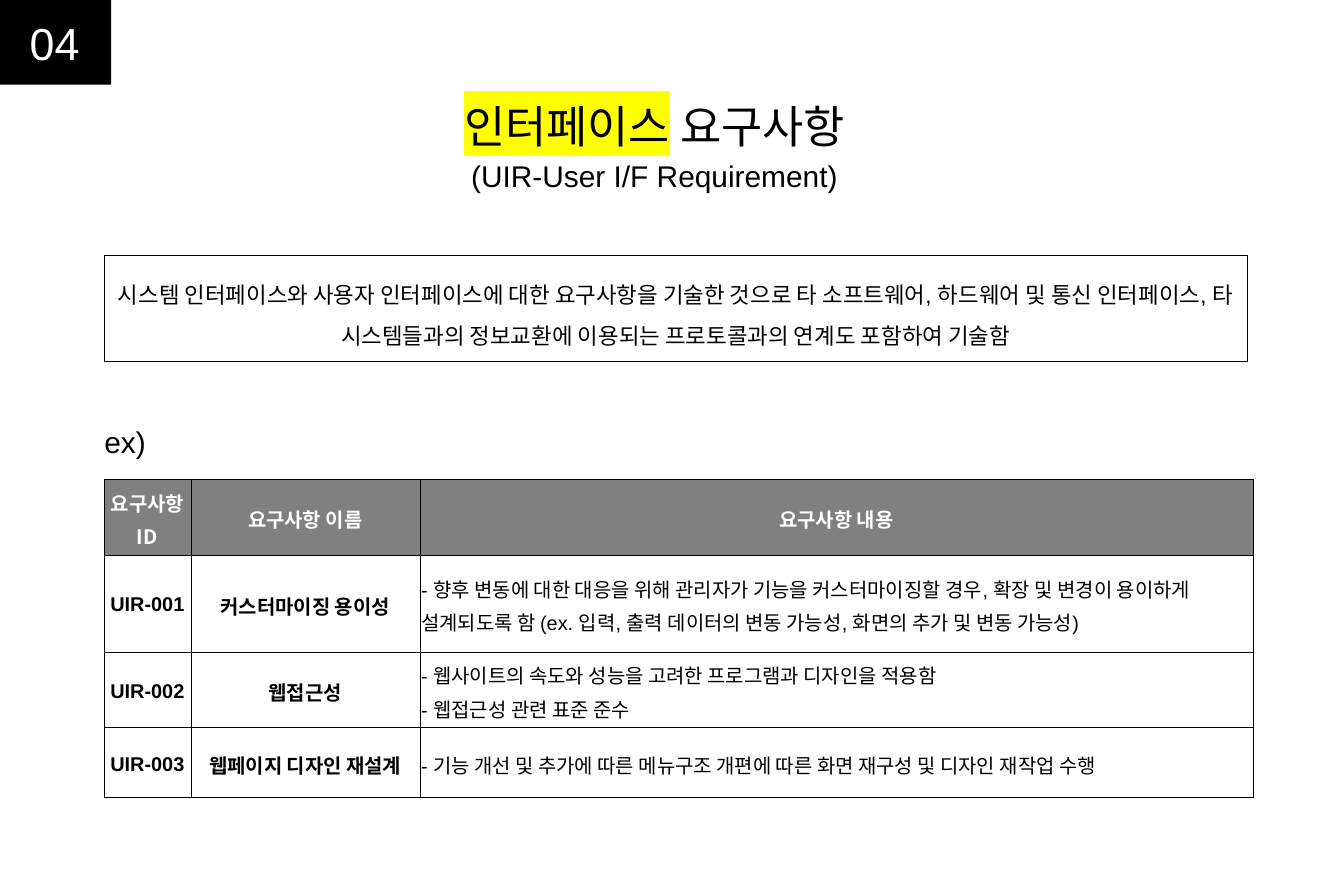
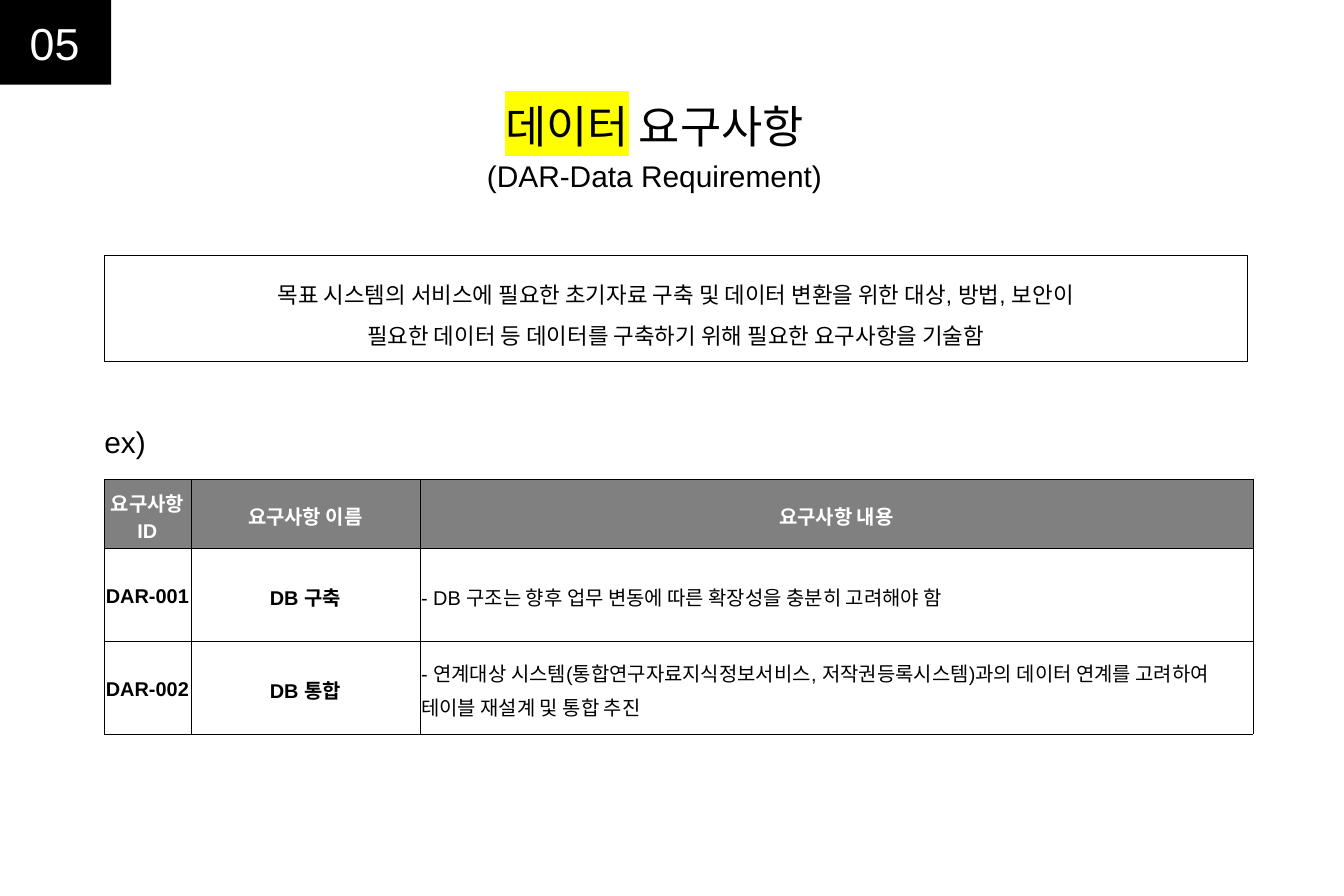
"""Build two slides that explain requirement types with example tables."""
import lxml.etree
import pptx
import pptx.dml.color
import pptx.enum.shapes
import pptx.enum.text
import pptx.oxml.ns
import pptx.util

Inches = pptx.util.Inches
ALIGN = pptx.enum.text.PP_ALIGN
ANCHOR = pptx.enum.text.MSO_ANCHOR
FONT = "Arial"
COLORS = {
    "black": "000000",
    "white": "FFFFFF",
    "gray": "808080",
    "yellow": "FFFF00",
}
HEADERS = ["요구사항 ID", "요구사항 이름", "요구사항 내용"]
COL_WIDTHS = [1.94, 5.11, 18.6]
SLIDES = [
    {
        "number": "04",
        "topic": "인터페이스",
        "subtitle": "(UIR-User I/F Requirement)",
        "summary": [
            "시스템 인터페이스와 사용자 인터페이스에 대한 요구사항을 기술한 것으로 타 소프트웨어, "
            "하드웨어 및 통신 인터페이스, 타 시스템들과의 정보교환에 이용되는 프로토콜과의 연계도 "
            "포함하여 기술함",
        ],
        "header_font": "Noto Sans CJK KR",
        "heights": [1.64, 2.17, 1.64, 1.57],
        "rows": [
            ("UIR-001", "커스터마이징 용이성", [
                "- 향후 변동에 대한 대응을 위해 관리자가 기능을 커스터마이징할 경우, 확장 및 변경이 "
                "용이하게 설계되도록 함 (ex. 입력, 출력 데이터의 변동 가능성, 화면의 추가 및 변동 가능성)",
            ]),
            ("UIR-002", "웹접근성", [
                "- 웹사이트의 속도와 성능을 고려한 프로그램과 디자인을 적용함",
                "- 웹접근성 관련 표준 준수",
            ]),
            ("UIR-003", "웹페이지 디자인 재설계", [
                "- 기능 개선 및 추가에 따른 메뉴구조 개편에 따른 화면 재구성 및 디자인 재작업 수행",
            ]),
        ],
    },
    {
        "number": "05",
        "topic": "데이터",
        "subtitle": "(DAR-Data Requirement)",
        "summary": [
            "목표 시스템의 서비스에 필요한 초기자료 구축 및 데이터 변환을 위한 대상, 방법, 보안이",
            "필요한 데이터 등 데이터를 구축하기 위해 필요한 요구사항을 기술함",
        ],
        "header_font": FONT,
        "heights": [1.53, 2.08, 2.08],
        "rows": [
            ("DAR-001", "DB 구축", [
                "- DB 구조는 향후 업무 변동에 따른 확장성을 충분히 고려해야 함",
            ]),
            ("DAR-002", "DB 통합", [
                "- 연계대상 시스템(통합연구자료지식정보서비스, 저작권등록시스템)과의 데이터 연계를 "
                "고려하여 테이블 재설계 및 통합 추진",
            ]),
        ],
    },
]


def rgb(name):
    """Return a palette colour."""
    return pptx.dml.color.RGBColor.from_string(COLORS[name])


def box(left, top, width, height):
    """Convert a position and size in inches to lengths."""
    return [Inches(v) for v in (left, top, width, height)]


def style_paragraph(p, size, color="black", align=ALIGN.CENTER, spacing=1.0, bold=False, font=FONT):
    """Set the font, alignment and line spacing of a paragraph."""
    p.alignment = align
    p.line_spacing = spacing
    p.font.size = pptx.util.Pt(size)
    p.font.name = font
    p.font.bold = bold
    p.font.color.rgb = rgb(color)


def write_lines(tf, lines, size, **style):
    """Fill a text frame with one styled paragraph per line."""
    tf.text = "\n".join(lines)
    for p in tf.paragraphs:
        style_paragraph(p, size, **style)


def set_frame(tf, inset, anchor):
    """Set wrapping, insets and anchor of a text frame."""
    tf.word_wrap = True
    tf.auto_size = pptx.enum.text.MSO_AUTO_SIZE.NONE
    tf.vertical_anchor = anchor
    tf.margin_left = tf.margin_right = Inches(inset)
    tf.margin_top = tf.margin_bottom = Inches(inset)


def highlight(r, color):
    """Mark a run with a highlight colour."""
    mark = lxml.etree.SubElement(r.font._element, pptx.oxml.ns.qn("a:highlight"))
    lxml.etree.SubElement(mark, pptx.oxml.ns.qn("a:srgbClr"), val=COLORS[color])


def add_title(s, topic, subtitle):
    """Place the title with its highlighted topic and its subtitle."""
    title = s.shapes.title
    title.left, title.top, title.width, title.height = box(2.57, 1.81, 24.08, 3.12)
    tf = title.text_frame
    set_frame(tf, 0.21, ANCHOR.TOP)
    p = tf.paragraphs[0]
    r = p.add_run()
    r.text = topic
    highlight(r, "yellow")
    p.add_run().text = " 요구사항"
    style_paragraph(p, 72, spacing=1.15)
    p = tf.add_paragraph()
    p.text = subtitle
    style_paragraph(p, 48, spacing=1.15)


def add_label(s, text):
    """Add the label above the table."""
    tf = s.shapes.add_textbox(*box(2.23, 9.36, 3.08, 1.34)).text_frame
    set_frame(tf, 0.1, ANCHOR.TOP)
    write_lines(tf, [text], 48, align=ALIGN.LEFT)


def add_rectangle(s, place, lines, size, fill=None, **style):
    """Add a filled or an outlined rectangle with text."""
    sp = s.shapes.add_shape(pptx.enum.shapes.MSO_SHAPE.RECTANGLE, *box(*place))
    sp.shadow.inherit = False
    if fill:
        sp.fill.solid()
        sp.fill.fore_color.rgb = rgb(fill)
        sp.line.fill.background()
    else:
        sp.fill.background()
        sp.line.color.rgb = rgb("black")
        sp.line.width = pptx.util.Pt(0.75)
    set_frame(sp.text_frame, 0.1, ANCHOR.MIDDLE)
    write_lines(sp.text_frame, lines, size, **style)


def add_borders(cell):
    """Draw a thin black line on each side of a cell."""
    qn = pptx.oxml.ns.qn
    tc_pr = cell._tc.get_or_add_tcPr()
    for i, side in enumerate(("a:lnL", "a:lnR", "a:lnT", "a:lnB")):
        ln = lxml.etree.Element(qn(side), w=str(pptx.util.Pt(0.75)))
        fill = lxml.etree.SubElement(ln, qn("a:solidFill"))
        lxml.etree.SubElement(fill, qn("a:srgbClr"), val=COLORS["black"])
        tc_pr.insert(i, ln)


def fill_cell(cell, lines, fill=None, **style):
    """Write and format one table cell."""
    cell.margin_left = cell.margin_right = Inches(0.03)
    cell.margin_top = cell.margin_bottom = Inches(0.1)
    cell.vertical_anchor = ANCHOR.MIDDLE
    if fill:
        cell.fill.solid()
        cell.fill.fore_color.rgb = rgb(fill)
    else:
        cell.fill.background()
    add_borders(cell)
    write_lines(cell.text_frame, lines, 32, spacing=1.15, **style)


def add_requirements(s, rows, heights, header_font):
    """Add the table of example requirements."""
    place = box(2.32, 10.7, sum(COL_WIDTHS), sum(heights))
    table = s.shapes.add_table(len(heights), len(COL_WIDTHS), *place).table
    table.first_row = table.horz_banding = False
    for column, width in zip(table.columns, COL_WIDTHS):
        column.width = Inches(width)
    for row, height in zip(table.rows, heights):
        row.height = Inches(height)
    for c, header in enumerate(HEADERS):
        fill_cell(table.cell(0, c), [header], "gray", color="white", bold=True, font=header_font)
    for i, (code, name, details) in enumerate(rows, 1):
        fill_cell(table.cell(i, 0), [code], bold=True)
        fill_cell(table.cell(i, 1), [name], bold=True)
        fill_cell(table.cell(i, 2), details, align=ALIGN.LEFT)


def add_requirement_slide(prs, content):
    """Build one slide from its content."""
    s = prs.slides.add_slide(prs.slide_layouts.get_by_name("Title Only"))
    add_title(s, content["topic"], content["subtitle"])
    add_label(s, "ex)")
    add_rectangle(s, (2.32, 5.69, 25.52, 2.38), content["summary"], 36, spacing=1.5)
    add_requirements(s, content["rows"], content["heights"], content["header_font"])
    add_rectangle(s, (-0.04, -0.01, 2.52, 1.9), [content["number"]], 72, "black", color="white")


def main():
    """Create the presentation and save it."""
    prs = pptx.Presentation()
    prs.slide_width, prs.slide_height = Inches(30), Inches(20)
    for content in SLIDES:
        add_requirement_slide(prs, content)
    prs.save("out.pptx")


if __name__ == "__main__":
    main()
